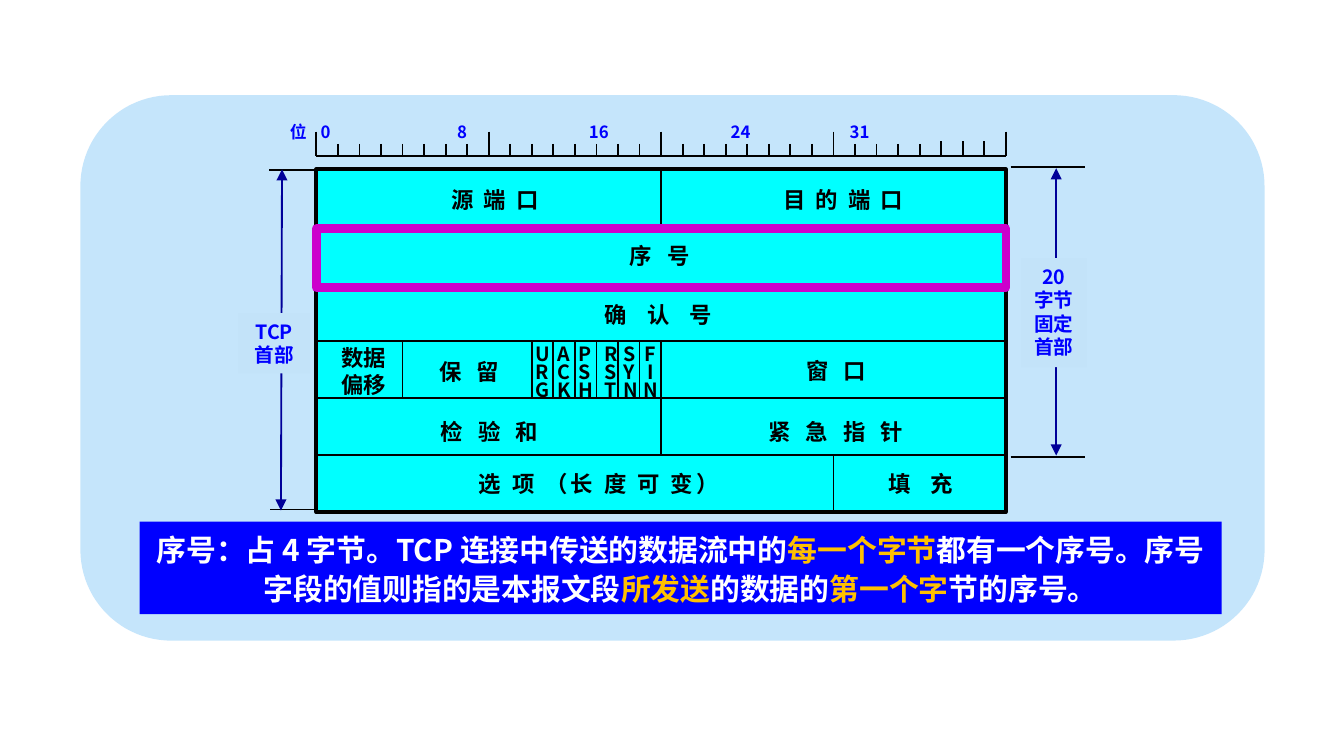
from lxml.etree import SubElement
from pptx import Presentation
from pptx.dml.color import RGBColor
from pptx.enum.shapes import MSO_CONNECTOR as Link, MSO_SHAPE as Form
from pptx.enum.text import MSO_ANCHOR as Anchor, PP_ALIGN as Align
from pptx.oxml.ns import qn
from pptx.util import Cm, Pt

hue = RGBColor.from_string
BLACK, BLUE, NAVY, CYAN = "000000", "0000FF", "000099", "00FFFF"

deck = Presentation()
deck.slide_width, deck.slide_height = Cm(25.4), Cm(14.29)
shapes = deck.slides.add_slide(deck.slide_layouts[6]).shapes


def block(form, x, y, w, h, fill=None, edge=None, width=1):
    shape = shapes.add_shape(form, Cm(x), Cm(y), Cm(w), Cm(h))
    shape.shadow.inherit = False
    for paint, tone in ((shape.fill, fill), (shape.line.fill, edge)):
        if tone:
            paint.solid()
            paint.fore_color.rgb = hue(tone)
        else:
            paint.background()
    if edge:
        shape.line.width = Pt(width)
    return shape


def write(shape, lines, size, tones=(BLACK,), align=Align.LEFT, space=None,
          track=0, anchor=Anchor.TOP, wrap=True):
    """Fill a shape with paragraphs; runs split at | take the tones in turn."""
    frame = shape.text_frame
    frame.word_wrap, frame.vertical_anchor = wrap, anchor
    look = {"name": "Noto Sans CJK SC", "size": Pt(size), "bold": True}
    for n, line in enumerate(lines):
        para = frame.add_paragraph() if n else frame.paragraphs[0]
        para.alignment, para.line_spacing = align, space
        for i, part in enumerate(line.split("|")):
            run = para.add_run()
            run.text = part
            for key, value in look.items():
                setattr(run.font, key, value)
            run.font.color.rgb = hue(tones[i % len(tones)])
            props = run._r.get_or_add_rPr()
            SubElement(props, qn("a:ea")).set("typeface", look["name"])
            if track:
                props.set("spc", str(track))


# Header grid: 32 bits wide, 6 rows high
left, top, wide, high = 5.98, 3.2, 13.03, 6.48
bit, row = wide / 32, high / 6
right = left + wide

block(Form.ROUNDED_RECTANGLE, 1.52, 1.8, 22.38, 10.31, "C5E5FB")
grid = block(Form.RECTANGLE, left, top, wide, high, CYAN, BLACK, 2)

# Rules: x1, y1, x2, y2, colour
base = 2.95
rules = [(left, base, right, base, BLACK)]
for n in range(33):
    x = left + n * bit
    rise = 0.46 if n % 8 == 0 else 0.28 if n > 28 else 0.23
    rules.append((x, base - rise, x, base, BLACK))
for n in range(1, 6):
    rules.append((left, top + n * row, right, top + n * row, BLACK))
for n, start, end in [(16, 0, 1), (16, 3, 5), (24, 5, 6), (4, 3, 4)] + [
        (n, 3, 4) for n in range(10, 16)]:
    x = left + n * bit
    rules.append((x, top + start * row, x, top + end * row, BLACK))
rules += [
    (19.1, 3.15, 20.5, 3.15, BLACK),
    (19.1, 8.64, 20.5, 8.64, BLACK),
    (5.09, 3.22, left, 3.22, BLACK),
    (5.11, 9.63, left, 9.63, BLACK),
    (5.33, 3.2, 5.31, 9.65, NAVY),
    (19.96, 3.18, 19.96, 8.61, NAVY),
]
for x1, y1, x2, y2, tone in rules:
    rule = shapes.add_connector(Link.STRAIGHT, Cm(x1), Cm(y1), Cm(x2), Cm(y2))
    rule.line.color.rgb = hue(tone)
    rule.line.width = Pt(1)
    SubElement(rule._element.spPr, qn("a:effectLst"))
    if tone == NAVY:
        pen = rule.line._get_or_add_ln()
        for tip in ("a:headEnd", "a:tailEnd"):
            SubElement(pen, qn(tip)).set("type", "triangle")
    if (x1, y1) == (left, top + 3 * row):
        rule.begin_connect(grid, 1)
        rule.end_connect(grid, 3)
    elif (x1, y1) == (left + 16 * bit, top):
        rule.begin_connect(grid, 0)

# Field names: x, y, tracking in hundredths of a point, lines
fields = [
    (8.28, 3.4, 135, ["源 端 口"]),
    (14.55, 3.4, 135, ["目 的 端 口"]),
    (11.65, 4.45, 270, ["序 号"]),
    (11.18, 5.56, 405, ["确 认 号"]),
    (6.2, 6.38, 0, ["数据", "偏移"]),
    (8.05, 6.65, 270, ["保 留"]),
    (14.99, 6.63, 270, ["窗 口"]),
    (8.08, 7.77, 270, ["检 验 和"]),
    (14.27, 7.77, 270, ["紧 急 指 针"]),
    (8.8, 8.76, 160, ["选 项 （长 度 可 变）"]),
    (16.54, 8.76, 405, ["填 充"]),
]
for x, y, track, lines in fields:
    label = shapes.add_textbox(Cm(x), Cm(y), Cm(5.5), Cm(0.76 * len(lines)))
    write(label, lines, 12, track=track)

flags = {"URG": 9.88, "ACK": 10.29, "PSH": 10.69,
         "RST": 11.18, "SYN": 11.53, "FIN": 11.87}
for flag, x in flags.items():
    label = shapes.add_textbox(Cm(x), Cm(6.45), Cm(0.85), Cm(1.3))
    side = Align.CENTER if flag == "FIN" else Align.LEFT
    write(label, flag, 10.5, align=side, space=0.75)

# Bit numbers above the scale
scale = shapes.add_textbox(Cm(5.23), Cm(2.18), Cm(14.17), Cm(0.64))
write(scale, ["位\t0\t8\t16\t24\t31"], 9, [BLUE])
tabs = SubElement(scale.text_frame.paragraphs[0]._p.get_or_add_pPr(),
                  qn("a:tabLst"))
for stop in (0.58, 3.16, 5.65, 8.33, 10.58):
    tab = SubElement(tabs, qn("a:tab"))
    tab.set("pos", str(Cm(stop)))
    tab.set("algn", "l")

# Size labels over the arrows
size = block(Form.RECTANGLE, 19.3, 4.88, 1.24, 2.06, "C3E3F9")
write(size, ["20", "字节", "固定", "首部"], 10.5, [BLUE], Align.CENTER, wrap=False)
head = block(Form.RECTANGLE, 4.5, 5.92, 1.37, 1.14, "C3E3F9")
write(head, ["TCP 首部"], 10.5, [BLUE], Align.CENTER, anchor=Anchor.MIDDLE)

# Highlighted row and its explanation
block(Form.RECTANGLE, left, 4.32, wide, 1.12, edge="CC00CC", width=4.5)
note = block(Form.RECTANGLE, 2.64, 9.86, 20.45, 1.75, BLUE)
write(note, ["序号：占 4 字节。TCP 连接中传送的数据流中的|每一个字节|"
             "都有一个序号。序号字段的值则指的是本报文段|所发送|"
             "的数据的|第一个字|节的序号。"],
      16, ["FFFFFF", "FFC000"], Align.CENTER, 1.1)

deck.save("out.pptx")
